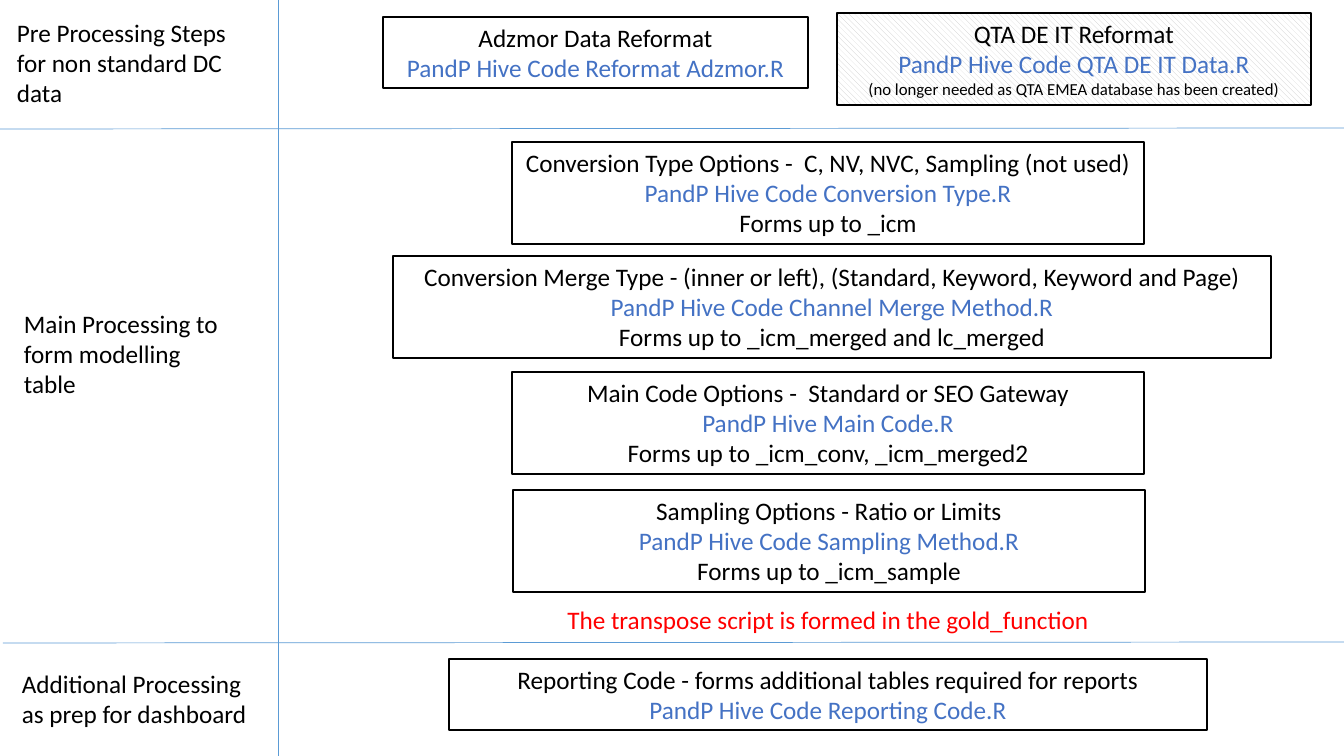
from pptx import Presentation
from pptx.dml.color import RGBColor
from pptx.enum import dml, shapes, text
from pptx.oxml.ns import qn
from pptx.util import Emu, Pt

# Content: each line of text is (words, style)
BOXES = [  # left, top, width, height, lines, hatched
    (383, 17, 425, 71, [("Adzmor Data Reformat", "body"),
                        ("PandP Hive Code Reformat Adzmor.R", "code")], False),
    (837, 13, 474, 92, [("QTA DE IT Reformat", "body"),
                        ("PandP Hive Code QTA DE IT Data.R", "code"),
                        ("(no longer needed as QTA EMEA database has been created)", "note")], True),
    (512, 142, 632, 102, [("Conversion Type Options -  C, NV, NVC, Sampling (not used)", "body"),
                          ("PandP Hive Code Conversion Type.R", "code"),
                          ("Forms up to _icm", "body")], False),
    (393, 256, 878, 102, [("Conversion Merge Type - (inner or left), "
                           "(Standard, Keyword, Keyword and Page)", "body"),
                          ("PandP Hive Code Channel Merge Method.R", "code"),
                          ("Forms up to _icm_merged and lc_merged", "body")], False),
    (512, 372, 632, 102, [("Main Code Options -  Standard or SEO Gateway", "body"),
                          ("PandP Hive Main Code.R", "code"),
                          ("Forms up to _icm_conv, _icm_merged2", "body")], False),
    (513, 490, 632, 102, [("Sampling Options - Ratio or Limits", "body"),
                          ("PandP Hive Code Sampling Method.R", "code"),
                          ("Forms up to _icm_sample", "body")], False),
    (449, 659, 758, 71, [("Reporting Code - forms additional tables required for reports", "body"),
                         ("PandP Hive Code Reporting Code.R", "code")], False),
]
STAGES = [  # left, top, width, height, words
    (7, 12, 243, 102, "Pre Processing Steps for non standard DC data"),
    (14, 303, 231, 102, "Main Processing to form modelling table"),
    (12, 663, 264, 71, "Additional Processing as prep for dashboard"),
]
REMARK = (512, 599, 632, 40, [("The transpose script is formed in the gold_function", "alert")])
RULES = [(0, 129, 1344, 128), (3, 643, 1344, 642), (278, 0, 278, 756)]

# Theme
THEME = {
    "font": "Calibri",
    "styles": {"body": (18, "000000"), "code": (18, "4472C4"),
               "note": (12, "000000"), "alert": (18, "FF0000")},
    "paper": "FFFFFF", "edge": "000000", "hatch": "C9C9C9", "rule": "5B9BD5",
    "edge_pt": 1, "rule_pt": 0.5,
}
SCALE = 914400 / 100.8


def px(*vals):
    return [Emu(round(v * SCALE)) for v in vals]


def hue(name):
    return RGBColor.from_string(THEME[name])


def write(shape, lines, align):
    frame = shape.text_frame
    frame.word_wrap = True
    frame.vertical_anchor = text.MSO_ANCHOR.TOP
    for i, (words, style) in enumerate(lines):
        para = frame.paragraphs[0] if i == 0 else frame.add_paragraph()
        para.alignment = align
        run = para.add_run()
        run.text = words
        size, color = THEME["styles"][style]
        run.font.name = THEME["font"]
        run.font.size = Pt(size)
        run.font.color.rgb = RGBColor.from_string(color)


def add_box(place, lines, hatched):
    box = slide.shapes.add_shape(shapes.MSO_SHAPE.RECTANGLE, *px(*place))
    box.shadow.inherit = False
    if hatched:
        box.fill.patterned()
        box.fill.pattern = dml.MSO_PATTERN.WIDE_DOWNWARD_DIAGONAL
        box.fill.fore_color.rgb = hue("hatch")
        box.fill.back_color.rgb = hue("paper")
    else:
        box.fill.solid()
        box.fill.fore_color.rgb = hue("paper")
    box.line.color.rgb = hue("edge")
    box.line.width = Pt(THEME["edge_pt"])
    write(box, lines, text.PP_ALIGN.CENTER)


def add_label(place, lines, align):
    write(slide.shapes.add_textbox(*px(*place)), lines, align)


def add_rule(ends):
    rule = slide.shapes.add_connector(shapes.MSO_CONNECTOR.STRAIGHT, *px(*ends))
    rule.line.color.rgb = hue("rule")
    rule.line.width = Pt(THEME["rule_pt"])
    props = rule._element.spPr
    props.append(props.makeelement(qn("a:effectLst"), {}))


deck = Presentation()
deck.slide_width, deck.slide_height = px(1344, 756)
slide = deck.slides.add_slide(deck.slide_layouts[6])

# Script boxes and the remark below them
for *place, lines, hatched in BOXES:
    add_box(place, lines, hatched)
*place, lines = REMARK
add_label(place, lines, text.PP_ALIGN.CENTER)

# Stage names and dividing rules
for *place, words in STAGES:
    add_label(place, [(words, "body")], text.PP_ALIGN.LEFT)
for ends in RULES:
    add_rule(ends)

deck.save("out.pptx")
